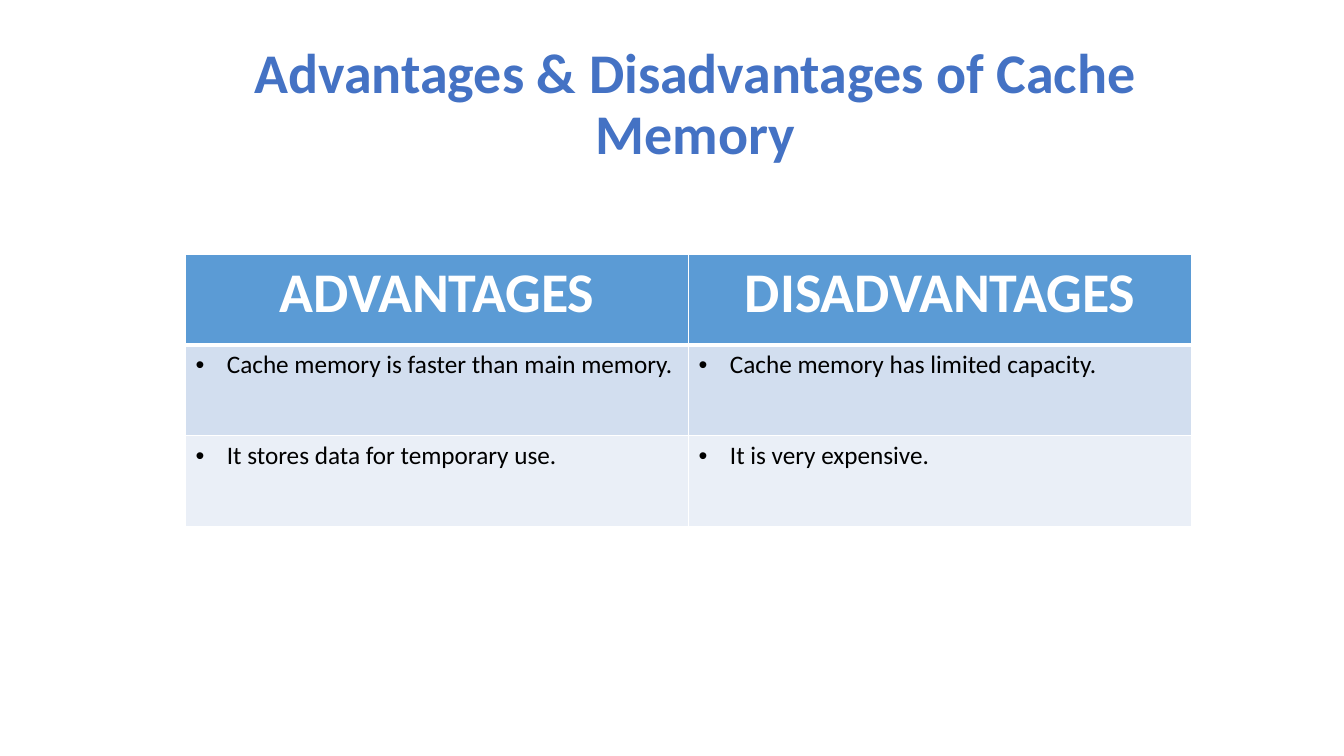
import pptx
import pptx.dml.color
import pptx.enum.text
import pptx.oxml.ns
import pptx.util
import lxml.etree

RGBColor = pptx.dml.color.RGBColor
Pt = pptx.util.Pt
ALIGN = pptx.enum.text.PP_ALIGN
ANCHOR = pptx.enum.text.MSO_ANCHOR
qn = pptx.oxml.ns.qn

WHITE = RGBColor(0xFF, 0xFF, 0xFF)
BLACK = RGBColor(0, 0, 0)
TITLE_BLUE = RGBColor(0x44, 0x72, 0xC4)
HEADER_BLUE = RGBColor(0x5B, 0x9B, 0xD5)
BANDS = (RGBColor(0xD2, 0xDE, 0xEF), RGBColor(0xEA, 0xEF, 0xF7))

EMU_PER_PX = 9144
TITLE_ONLY = 5

ROWS = [
    ("ADVANTAGES", "DISADVANTAGES"),
    ("Cache memory is faster than main memory.", "Cache memory has limited capacity."),
    ("It stores data for temporary use.", "It is very expensive."),
]


def px(n):
    return pptx.util.Emu(n * EMU_PER_PX)


def write(tf, text, font="Calibri", size=18, color=BLACK, bold=False,
          align=ALIGN.LEFT, spacing=1.0, bullet_indent=0):
    p = tf.paragraphs[0]
    p.alignment = align
    p.line_spacing = spacing
    if bullet_indent:
        pPr = p._p.get_or_add_pPr()
        pPr.set("marL", str(px(bullet_indent)))
        pPr.set("indent", str(-px(bullet_indent)))
        lxml.etree.SubElement(pPr, qn("a:buFont"), typeface="Arial")
        lxml.etree.SubElement(pPr, qn("a:buChar"), char="•")
    r = p.add_run()
    r.text = text
    r.font.name = font
    r.font.size = Pt(size)
    r.font.bold = bold
    r.font.color.rgb = color


class Deck:
    def __init__(self, width, height):
        self.prs = pptx.Presentation()
        self.prs.slide_width = px(width)
        self.prs.slide_height = px(height)
        self.s = self.prs.slides.add_slide(self.prs.slide_layouts[TITLE_ONLY])

    def title(self, text, x, y, w, h):
        sp = self.s.shapes.title
        sp.left, sp.top, sp.width, sp.height = map(px, (x, y, w, h))
        tf = sp.text_frame
        tf.word_wrap = True
        tf.auto_size = pptx.enum.text.MSO_AUTO_SIZE.NONE
        tf.vertical_anchor = ANCHOR.MIDDLE
        write(tf, text, size=40, color=TITLE_BLUE, bold=True,
              align=ALIGN.CENTER, spacing=0.9)

    def borders(self, cell, **widths):
        tcPr = cell._tc.get_or_add_tcPr()
        for side in "LRTB":
            ln = lxml.etree.SubElement(tcPr, qn("a:ln" + side), w=str(Pt(widths.get(side, 1))))
            fill = lxml.etree.SubElement(ln, qn("a:solidFill"))
            lxml.etree.SubElement(fill, qn("a:srgbClr"), val=str(WHITE))

    def table(self, rows, x, y, col_w, row_h):
        cols = len(rows[0])
        frame = self.s.shapes.add_table(len(rows), cols, px(x), px(y),
                                        px(col_w * cols), px(row_h * len(rows)))
        table = frame.table
        for col in table.columns:
            col.width = px(col_w)
        for i, texts in enumerate(rows):
            table.rows[i].height = px(row_h)
            for j, text in enumerate(texts):
                cell = table.cell(i, j)
                self.borders(cell, T=3 if i == 1 else 1, B=3 if i == 0 else 1)
                cell.fill.solid()
                if i == 0:
                    cell.fill.fore_color.rgb = HEADER_BLUE
                    write(cell.text_frame, text, size=40, color=WHITE, bold=True,
                          align=ALIGN.CENTER)
                else:
                    cell.fill.fore_color.rgb = BANDS[(i - 1) % 2]
                    write(cell.text_frame, text, bullet_indent=31)


def main():
    deck = Deck(1333, 750)
    deck.title("Advantages & Disadvantages of Cache Memory", 196, 40, 987, 130)
    deck.table(ROWS, 184, 252, col_w=499, row_h=90)
    deck.prs.save("out.pptx")


if __name__ == "__main__":
    main()
